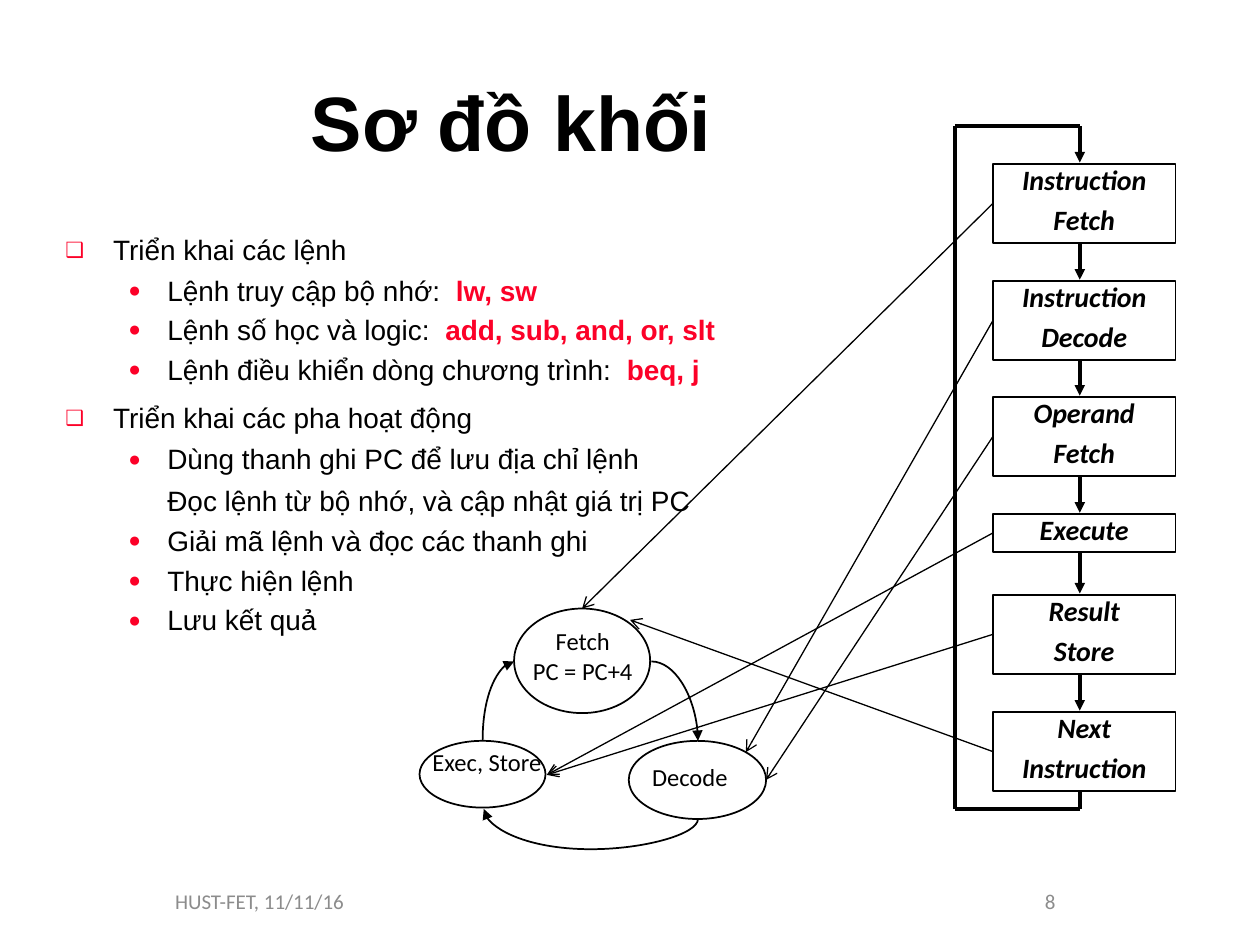
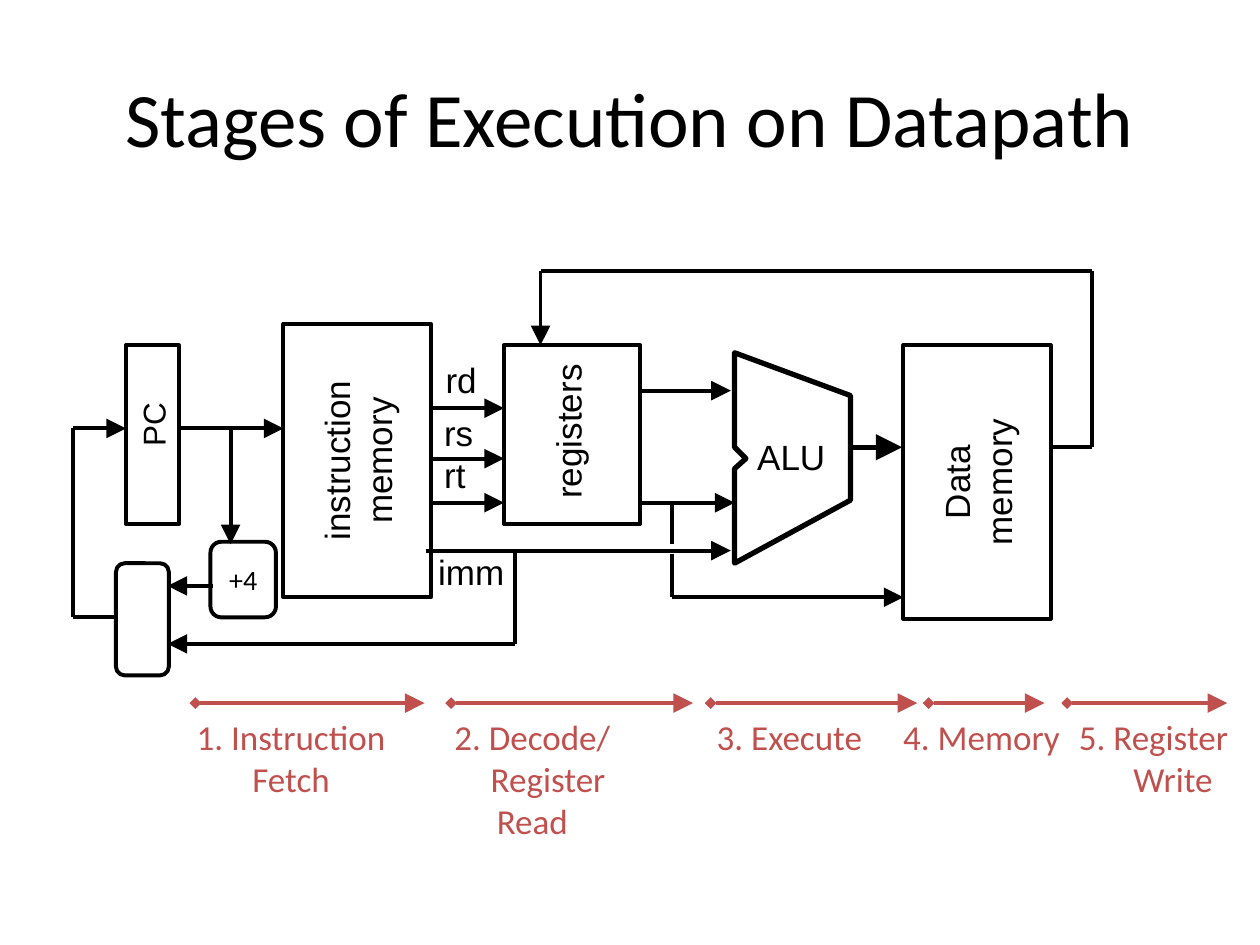
from dataclasses import dataclass
from itertools import pairwise

import pptx
import pptx.dml.color
import pptx.enum.shapes
import pptx.enum.text
import pptx.oxml
import pptx.oxml.ns
import pptx.util

Inches, Pt = pptx.util.Inches, pptx.util.Pt
SHAPE = pptx.enum.shapes.MSO_SHAPE
CONNECTOR = pptx.enum.shapes.MSO_CONNECTOR
ALIGN = pptx.enum.text.PP_ALIGN
ANCHOR = pptx.enum.text.MSO_ANCHOR


@dataclass(frozen=True)
class TextStyle:
    font: str
    size: float
    color: str = "000000"
    bold: bool = False
    italic: bool = False


class Theme:
    black, white, red, brick = "000000", "FFFFFF", "FC0128", "C0504D"
    title = TextStyle("Calibri", 44)
    title_strong = TextStyle("Arial", 44, bold=True)
    footer = TextStyle("Calibri", 12, "8C8C8C")
    body = TextStyle("Arial", 16)
    keyword = TextStyle("Arial", 16, red, bold=True)
    step = TextStyle("Calibri", 16, bold=True, italic=True)
    phase = TextStyle("Calibri", 14)
    unit = TextStyle("Arial", 20)
    counter = TextStyle("Arial", 18)
    adder = TextStyle("Calibri", 16)
    stage = TextStyle("Calibri", 20, brick)
    thin, outline, flow, wire, heavy = 0.75, 1, 2, 2.25, 3


def rgb(value):
    return pptx.dml.color.RGBColor.from_string(value)


def add_xml(parent, tag, **attributes):
    element = pptx.oxml.ns.qn(tag)
    child = parent.makeelement(element, attributes)
    parent.append(child)
    return child


def format_run(run, style):
    font = run.font
    font.name, font.size = style.font, Pt(style.size)
    font.bold, font.italic = style.bold, style.italic
    font.color.rgb = rgb(style.color)


def write(text_frame, text, style, align=ALIGN.CENTER, anchor=ANCHOR.MIDDLE):
    text_frame.text = text
    text_frame.word_wrap = True
    text_frame.vertical_anchor = anchor
    for paragraph in text_frame.paragraphs:
        paragraph.alignment = align
        for run in paragraph.runs:
            format_run(run, style)


def set_spacing(paragraph, lines, before):
    """Line spacing, and space before as a percentage of the line."""
    paragraph.line_spacing = lines
    paragraph.space_before = Pt(0)
    space = paragraph._p.pPr.find(pptx.oxml.ns.qn("a:spcBef"))
    space.clear()
    add_xml(space, "a:spcPct", val=str(before * 1000))


def set_indent(paragraph, margin, first=0):
    properties = paragraph._p.get_or_add_pPr()
    properties.set("marL", str(Inches(margin)))
    properties.set("indent", str(Inches(first)))


def set_bullet(paragraph, symbol):
    properties = paragraph._p.get_or_add_pPr()
    add_xml(add_xml(properties, "a:buClr"), "a:srgbClr", val=Theme.red)
    add_xml(properties, "a:buSzPct", val="75000")
    add_xml(properties, "a:buFont", typeface="Arial")
    add_xml(properties, "a:buChar", char=symbol)


@dataclass
class Region:
    """Part of a slide; positions are in inches from its top left corner."""
    slide: object
    left: float
    top: float

    def point(self, x, y):
        return self.left + x, self.top + y

    def frame(self, box):
        x, y, width, height = box
        return [Inches(value) for value in (*self.point(x, y), width, height)]

    def text(self, box, text, style, rotation=0, **options):
        shape = self.slide.shapes.add_textbox(*self.frame(box))
        shape.rotation = rotation
        write(shape.text_frame, text, style, **options)
        return shape

    def shape(self, kind, box, weight, fill=None, rotation=0):
        shape = self.slide.shapes.add_shape(kind, *self.frame(box))
        shape.rotation = rotation
        finish_outline(shape, weight, fill)
        return shape

    def line(self, begin, end, weight, color=Theme.black, kind=CONNECTOR.STRAIGHT,
             head=None, tail=None, tail_size="med"):
        ends = [Inches(value) for value in (*self.point(*begin), *self.point(*end))]
        connector = self.slide.shapes.add_connector(kind, *ends)
        connector.line.width = Pt(weight)
        connector.line.color.rgb = rgb(color)
        outline = connector.line._get_or_add_ln()
        if head:
            add_xml(outline, "a:headEnd", type=head)
        if tail:
            add_xml(outline, "a:tailEnd", type=tail, w=tail_size, len=tail_size)
        add_xml(connector.element.spPr, "a:effectLst")
        return connector

    def route(self, points, weight, tail="triangle", **options):
        """Straight runs through the points, the last one with an arrowhead."""
        runs = list(pairwise(points))
        for index, (begin, end) in enumerate(runs, 1):
            self.line(begin, end, weight, tail=tail if index == len(runs) else None, **options)

    def curve(self, begin, end, preset, quarter_turns=0, bend=None):
        connector = self.line(begin, end, Theme.outline, kind=CONNECTOR.CURVE, tail="triangle")
        properties = connector.element.spPr
        properties.find(pptx.oxml.ns.qn("a:xfrm")).set("rot", str(quarter_turns * 5400000))
        geometry = properties.find(pptx.oxml.ns.qn("a:prstGeom"))
        geometry.set("prst", preset)
        if bend is not None:
            adjustments = geometry.find(pptx.oxml.ns.qn("a:avLst"))
            add_xml(adjustments, "a:gd", name="adj1", fmla=f"val {bend * 100000}")


def finish_outline(shape, weight, fill=None):
    shape.shadow.inherit = False
    shape.line.width = Pt(weight)
    shape.line.color.rgb = rgb(Theme.black)
    if fill:
        shape.fill.solid()
        shape.fill.fore_color.rgb = rgb(fill)
    else:
        shape.fill.background()


def new_slide(presentation, title, style, box):
    slide = presentation.slides.add_slide(presentation.slide_layouts[5])
    shape = slide.shapes.title
    shape.left, shape.top, shape.width, shape.height = [Inches(value) for value in box]
    write(shape.text_frame, title, style)
    return slide


def add_footer(region, date, number):
    region.text((0, 0, 2.33, 0.4), date, Theme.footer, align=ALIGN.RIGHT)
    region.text((6.67, 0, 2.33, 0.4), number, Theme.footer)


def add_outline(region):
    # level, line spacing, text, keywords
    items = [
        (0, 0.9, "Triển khai các lệnh", ""),
        (1, 0.85, "Lệnh truy cập bộ nhớ:  ", "lw, sw"),
        (1, 0.85, "Lệnh số học và logic:  ", "add, sub, and, or, slt"),
        (1, 0.85, "Lệnh điều khiển dòng chương trình:  ", "beq, j"),
        (0, 0.9, "Triển khai các pha hoạt động", ""),
        (1, 0.9, "Dùng thanh ghi PC để lưu địa chỉ lệnh", ""),
        (None, 0.9, "Đọc lệnh từ bộ nhớ, và cập nhật giá trị PC", ""),
        (1, 0.85, "Giải mã lệnh và đọc các thanh ghi", ""),
        (1, 0.85, "Thực hiện lệnh", ""),
        (1, 0.85, "Lưu kết quả", ""),
    ]
    text = "\n".join(item[2] for item in items)
    shape = region.text((0, 0, 6.25, 3.82), text, Theme.body, align=ALIGN.LEFT, anchor=ANCHOR.TOP)
    for paragraph, (level, lines, _, keywords) in zip(shape.text_frame.paragraphs, items):
        set_spacing(paragraph, lines, 65 if level == 0 else 40)
        if level is None:
            set_indent(paragraph, 0.81)
        elif level == 0:
            set_indent(paragraph, 0.38, -0.38)
            set_bullet(paragraph, "❑")
        else:
            set_indent(paragraph, 0.81, -0.31)
            set_bullet(paragraph, "●")
        if keywords:
            run = paragraph.add_run()
            run.text = keywords
            format_run(run, Theme.keyword)


def add_instruction_loop(region):
    """Draws the steps and returns the middle of each one's left side."""
    steps = [(0.3, "Instruction\nFetch"), (1.23, "Instruction\nDecode"),
             (2.15, "Operand\nFetch"), (3.08, "Execute"),
             (3.72, "Result\nStore"), (4.65, "Next\nInstruction")]
    left, axis = 0.38, 1.07
    sides, bottoms = [], []
    for top, label in steps:
        height = 0.63 if "\n" in label else 0.3
        shape = region.shape(SHAPE.RECTANGLE, (left, top, 1.45, height), Theme.outline)
        text_frame = shape.text_frame
        write(text_frame, label, Theme.step, anchor=ANCHOR.TOP)
        text_frame.margin_left = text_frame.margin_right = Inches(0.07)
        text_frame.margin_top = text_frame.margin_bottom = Inches(0.03)
        for paragraph in text_frame.paragraphs:
            set_spacing(paragraph, 0.86, 40)
        sides.append(region.point(left, top + height / 2))
        bottoms.append(top + height)
    for bottom, (next_top, _) in zip(bottoms, steps[1:]):
        region.route([(axis, bottom), (axis, next_top - 0.01)], Theme.flow)
    region.route([(axis, bottoms[-1]), (axis, 5.42), (0.08, 5.42), (0.08, 0),
                  (axis, 0), (axis, 0.29)], Theme.flow)
    return sides


def add_phase_cycle(region):
    """Draws the phases and returns where the six steps point to."""
    phases = [
        ((0.83, 0.08, 1.08, 0.83), "Fetch\nPC = PC+4", (0.75, 0.17, 1.25, 0.57)),
        ((1.74, 1.13, 1.09, 0.62), "Decode", (1.79, 1.25, 0.87, 0.33)),
        ((0.08, 1.13, 1, 0.53), "Exec, Store", (0.03, 1.13, 1.17, 0.57)),
    ]
    for oval, label, label_box in phases:
        region.shape(SHAPE.OVAL, oval, Theme.outline)
        region.text(label_box, label, Theme.phase, anchor=ANCHOR.TOP)
    region.curve((1.92, 0.5), (2.29, 1.13), "curvedConnector2")
    region.curve((1.48, 0.86), (1.4, 2.56), "curvedConnector3", 1, bend=-3)
    region.curve((1.02, 0.94), (0.39, 0.69), "curvedConnector2", 1)
    execute = (1.09, 1.4)
    targets = [(1.37, 0.08), (2.67, 1.22), (2.83, 1.44), execute, execute, (1.75, 0.17)]
    return [region.point(*target) for target in targets]


def add_datapath(region):
    wire = Theme.wire
    region.shape(SHAPE.RECTANGLE, (0.5, 0.74, 0.42, 1.42), wire)
    region.shape(SHAPE.RECTANGLE, (3.5, 0.74, 1.08, 1.42), wire, Theme.white)
    for left, top, label in [(1.25, 1.07, "instruction\nmemory"), (6.17, 1.24, "Data\nmemory")]:
        memory = region.shape(SHAPE.RECTANGLE, (left, top, 2.17, 1.17), wire, Theme.white, 270)
        write(memory.text_frame, label, Theme.unit)
    adder = region.shape(SHAPE.ROUNDED_RECTANGLE, (1.17, 2.3, 0.52, 0.6), wire, Theme.white)
    write(adder.text_frame, "+4", Theme.adder)
    region.shape(SHAPE.ROUNDED_RECTANGLE, (0.42, 2.47, 0.42, 0.89), wire, Theme.white)
    add_alu(region)

    region.text((0.44, 1.17, 0.55, 0.4), "PC", Theme.counter, 270)
    region.text((3.29, 1.21, 1.43, 0.43), "registers", Theme.unit, 270)
    for label, left, top, height in [("rd", 2.87, 0.8, 1.24), ("rs", 2.85, 1.22, 1.64),
                                     ("rt", 2.82, 1.55, 1.99)]:
        region.text((left, top, 0.58, 0.43), label, Theme.unit)
        region.route([(2.92, height), (3.5, height)], wire, tail_size="lg")
    region.text((2.78, 2.32, 0.92, 0.43), "imm", Theme.unit)

    arrows = [
        [(0.92, 1.4), (1.75, 1.4)],
        [(1.33, 1.4), (1.33, 2.32)],
        [(1.19, 2.65), (0.83, 2.65)],
        [(0.42, 2.9), (0.08, 2.9), (0.08, 1.4), (0.5, 1.4)],
        [(4.58, 1.1), (5.3, 1.1)],
        [(4.58, 1.99), (5.33, 1.99)],
        [(2.88, 2.37), (5.3, 2.37)],
        [(3.59, 2.37), (3.59, 3.11), (0.83, 3.11)],
        [(4.83, 2.4), (4.83, 2.74), (6.67, 2.74)],
        [(7.83, 1.55), (8.17, 1.55), (8.17, 0.15), (3.79, 0.15), (3.79, 0.74)],
    ]
    for points in arrows:
        region.route(points, wire, tail_size="lg")
    region.line((4.83, 1.99), (4.83, 2.32), wire)


def add_alu(region):
    corners = [(5.33, 0.8), (6.25, 1.14), (6.25, 1.97), (5.33, 2.47),
               (5.33, 1.72), (5.42, 1.64), (5.33, 1.55)]
    start, *others = [tuple(map(Inches, region.point(*corner))) for corner in corners]
    builder = region.slide.shapes.build_freeform(*start)
    builder.add_line_segments(others, close=True)
    finish_outline(builder.convert_to_shape(), Theme.heavy)
    region.text((5.26, 1.41, 1.04, 0.52), "ALU", Theme.unit, anchor=ANCHOR.TOP)
    region.route([(6.25, 1.55), (6.66, 1.55)], Theme.heavy, tail_size="lg")


def add_stages(region):
    # label, label left and width, arrow start and end, indent of second line
    stages = [
        ("1. Instruction\nFetch", 0.3, 2.02, 0.55, 2.37, 0),
        ("2. Decode/\nRegister\nRead", 2.37, 1.71, 2.58, 4.5, 0.25),
        ("3. Execute", 4.54, 1.45, 4.64, 6.28, 0),
        ("4. Memory", 5.98, 1.62, 6.37, 7.29, 0),
        ("5. Register\nWrite", 7.39, 1.53, 7.47, 8.74, 0.31),
    ]
    for label, left, width, begin, end, indent in stages:
        height = 0.1 + 0.34 * len(label.split("\n"))
        shape = region.text((left, 0.05, width, height), label, Theme.stage, anchor=ANCHOR.TOP)
        if indent:
            set_indent(shape.text_frame.paragraphs[1], indent)
        region.line((begin, 0), (end, 0), Theme.wire, Theme.brick,
                    head="diamond", tail="triangle", tail_size="lg")


def build_block_diagram(presentation):
    slide = new_slide(presentation, "Sơ đồ khối", Theme.title_strong, (0.5, 0.33, 7.12, 1.25))
    add_footer(Region(slide, 0.5, 6.95), "HUST-FET, 11/11/16", "8")
    add_outline(Region(slide, 0.42, 1.83))
    steps = add_instruction_loop(Region(slide, 7.5, 1))
    targets = add_phase_cycle(Region(slide, 3.25, 4.75))
    whole = Region(slide, 0, 0)
    for step, target in zip(steps, targets):
        whole.line(step, target, Theme.thin, tail="arrow")


def build_execution_stages(presentation):
    slide = new_slide(presentation, "Stages of Execution on Datapath", Theme.title,
                      (0.5, 0.3, 9, 1.25))
    add_datapath(Region(slide, 0.5, 2))
    add_stages(Region(slide, 1, 5.58))


def main():
    presentation = pptx.Presentation()
    presentation.slide_width, presentation.slide_height = Inches(10), Inches(7.5)
    build_block_diagram(presentation)
    build_execution_stages(presentation)
    presentation.save("out.pptx")


if __name__ == "__main__":
    main()
